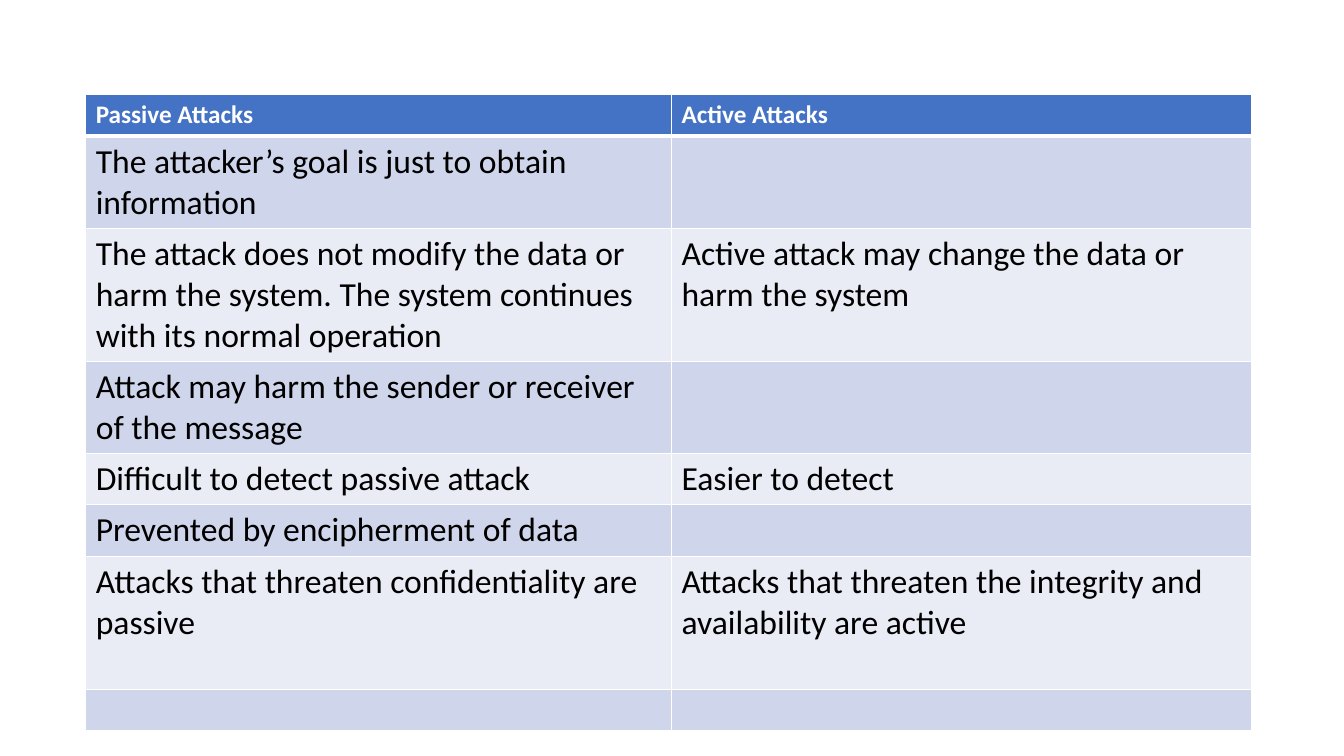
from lxml import etree
from pptx import Presentation
from pptx.dml.color import RGBColor
from pptx.oxml.ns import qn
from pptx.util import Inches, Pt

ROWS = [
    ("Passive Attacks", "Active Attacks"),
    ("The attacker’s goal is just to obtain information", ""),
    ("The attack does not modify the data or harm the system. "
     "The system continues with its normal operation",
     "Active attack may change the data or harm the system"),
    ("Attack may harm the sender or receiver of the message", ""),
    ("Difficult to detect passive attack", "Easier to detect"),
    ("Prevented by encipherment of data", ""),
    ("Attacks that threaten confidentiality are passive",
     "Attacks that threaten the integrity and availability are active"),
    ("", ""),
]
ROW_HEIGHTS = [0.41, 0.91, 1.32, 0.91, 0.51, 0.51, 1.32, 0.41]
COL_WIDTHS = [5.81, 5.75]
LEFT, TOP = 0.85, 0.94

WHITE = RGBColor(0xFF, 0xFF, 0xFF)
BLACK = RGBColor(0x00, 0x00, 0x00)
HEADER_BLUE = RGBColor(0x44, 0x72, 0xC4)
BANDS = [RGBColor(0xE9, 0xEB, 0xF5), RGBColor(0xCF, 0xD5, 0xEA)]

HEADER_FONT = {"name": "Calibri", "size": Pt(18), "bold": True}
BODY_FONT = {"name": "Calibri", "size": Pt(24), "bold": False}
EMPTY_FONT = {"name": "Calibri", "size": Pt(18), "bold": False}


def set_borders(cell, widths):
    tcPr = cell._tc.get_or_add_tcPr()
    for side, width in widths.items():
        ln = etree.SubElement(tcPr, qn(f"a:ln{side}"), w=str(Pt(width)))
        fill = etree.SubElement(ln, qn("a:solidFill"))
        etree.SubElement(fill, qn("a:srgbClr"), val=str(WHITE))


def fill_cell(cell, text, row):
    header = row == 0
    set_borders(cell, {"L": 1, "R": 1, "T": 3 if row == 1 else 1, "B": 3 if header else 1})
    cell.fill.solid()
    cell.fill.fore_color.rgb = HEADER_BLUE if header else BANDS[row % 2]
    p = cell.text_frame.paragraphs[0]
    if text:
        p.text = text
    font = HEADER_FONT if header else BODY_FONT if text else EMPTY_FONT
    target = p.runs[0].font if text else p.font
    for key, value in font.items():
        setattr(target, key, value)
    target.color.rgb = WHITE if header else BLACK


def main():
    prs = Presentation()
    prs.slide_width, prs.slide_height = Inches(13.33), Inches(7.5)
    s = prs.slides.add_slide(prs.slide_layouts[6])
    table = s.shapes.add_table(
        len(ROWS), len(COL_WIDTHS), Inches(LEFT), Inches(TOP),
        Inches(sum(COL_WIDTHS)), Inches(sum(ROW_HEIGHTS))).table
    for column, width in zip(table.columns, COL_WIDTHS):
        column.width = Inches(width)
    for i, (texts, height) in enumerate(zip(ROWS, ROW_HEIGHTS)):
        table.rows[i].height = Inches(height)
        for j, text in enumerate(texts):
            fill_cell(table.cell(i, j), text, i)
    prs.save("out.pptx")


if __name__ == "__main__":
    main()
